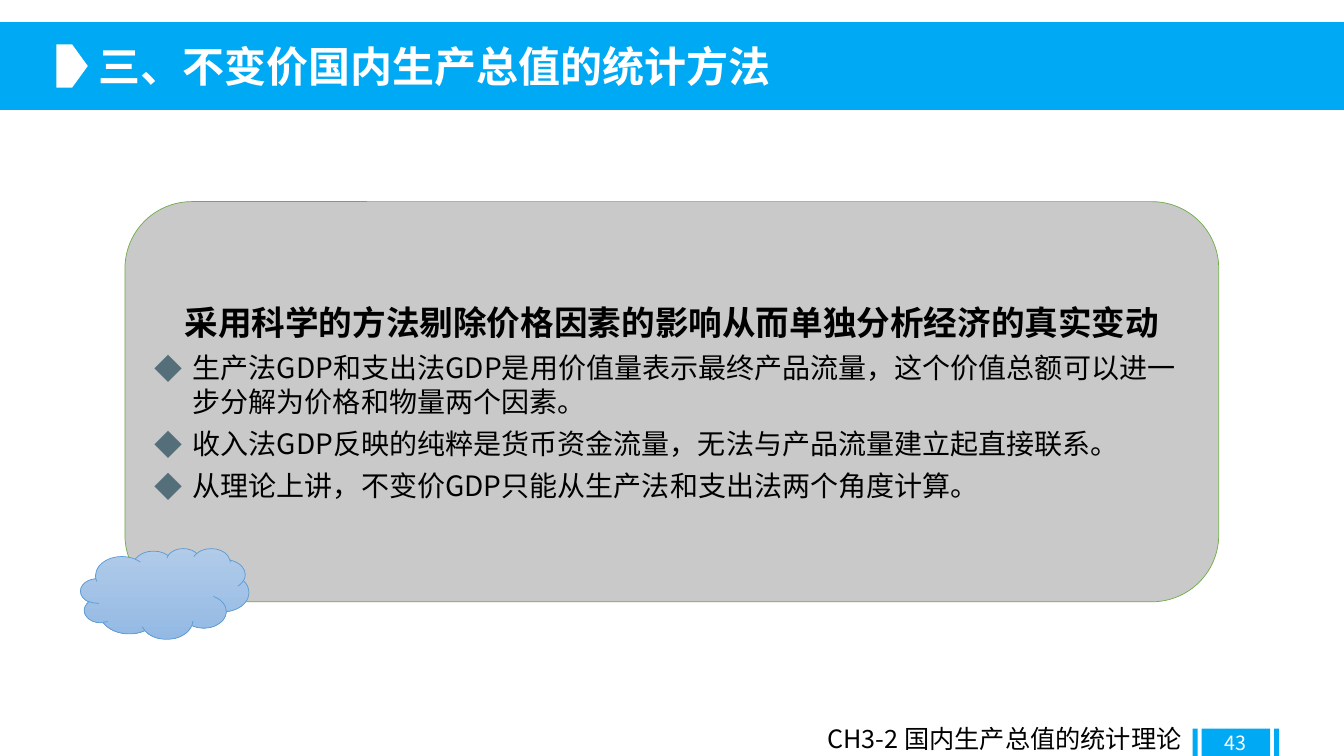
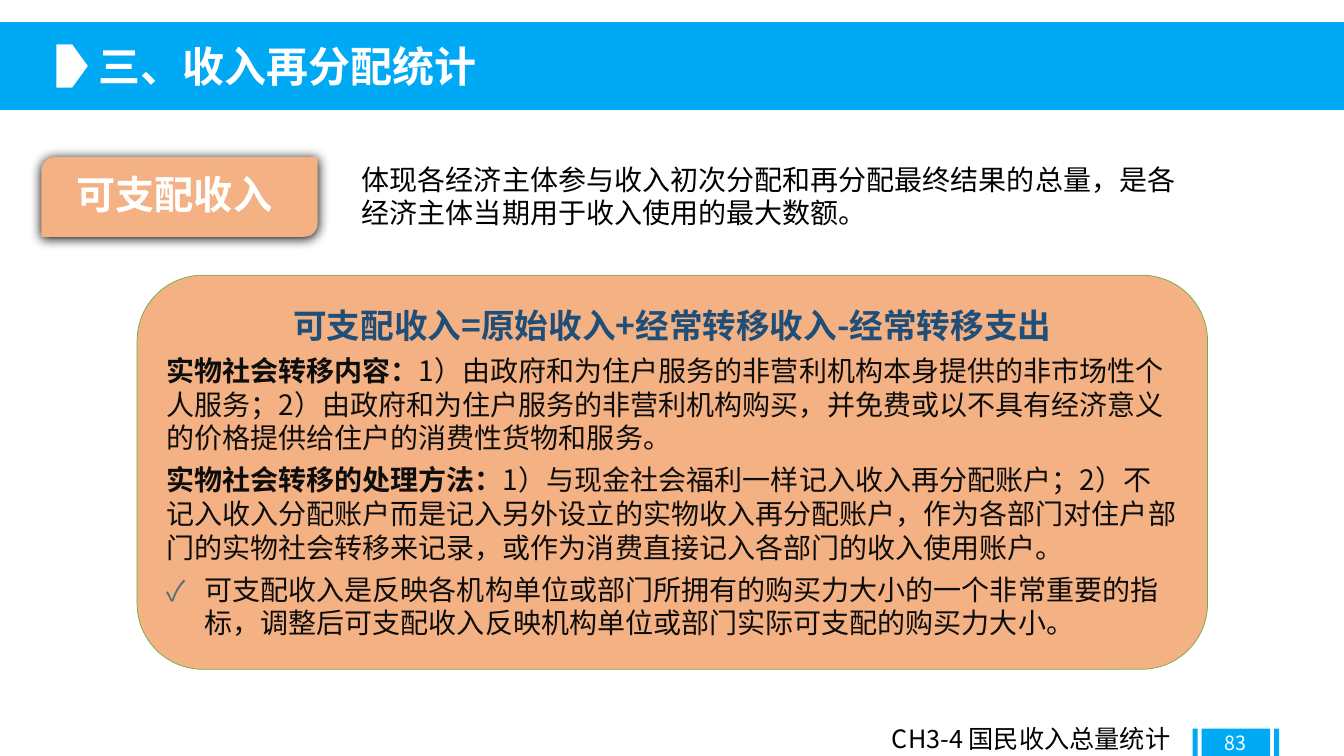
from dataclasses import dataclass
from typing import Optional

from lxml import etree
from pptx import Presentation
from pptx import util as u
from pptx.dml import color
from pptx.enum import shapes, text
from pptx.oxml import ns

WIDTH, HEIGHT = u.Inches(13.33), u.Inches(7.5)
FONT = "Noto Sans CJK SC"
BLUE, WHITE, BLACK, INK = "00A9F3", "FFFFFF", "000000", "0D0D0D"
GREY, ORANGE, NAVY, GREEN = "C9C9C9", "F4B183", "1F4E79", "70AD47"
CLOUD_TOP, CLOUD_BOTTOM, CLOUD_LINE = "B1CBE9", "93B9E4", "5B9BD5"
BULLET_COLOUR = "546E7A"
BULLET_INDENT = u.Inches(0.38)
FOOTER_RIGHT = 88.88
SHAPE = shapes.MSO_SHAPE


@dataclass(frozen=True)
class Box:
    """Position and size in percent of the slide's width and height."""
    left: float
    top: float
    width: float
    height: float

    def lengths(self) -> tuple:
        return (int(WIDTH * self.left / 100), int(HEIGHT * self.top / 100),
                int(WIDTH * self.width / 100), int(HEIGHT * self.height / 100))


@dataclass(frozen=True)
class Line:
    """One paragraph; a lead is a bold opening run."""
    body: str
    size: int = 20
    colour: str = BLACK
    bold: bool = False
    lead: str = ""
    bullet: str = ""
    centred: bool = False
    space_before: int = 0
    spacing: Optional[float] = None


BAND = Box(0, 2.93, 100, 11.6)
ARROW = Box(4.2, 5.87, 2.33, 5.73)
TITLE = Box(6.6, 4.67, 86, 8.13)
BADGE = Box(89.4, 96.4, 5.1, 3.6)
BADGE_BARS = [Box(left, BADGE.top, 0.38, BADGE.height) for left in (88.73, 94.8)]


def rgb(value: str) -> color.RGBColor:
    return color.RGBColor.from_string(value)


def add_bullet(paragraph, symbol: str) -> None:
    properties = paragraph._p.get_or_add_pPr()
    properties.set("marL", str(BULLET_INDENT))
    properties.set("indent", str(-BULLET_INDENT))
    bullet_colour = etree.SubElement(properties, ns.qn("a:buClr"))
    etree.SubElement(bullet_colour, ns.qn("a:srgbClr"), val=BULLET_COLOUR)
    etree.SubElement(properties, ns.qn("a:buFont"), typeface=FONT)
    etree.SubElement(properties, ns.qn("a:buChar"), char=symbol)


def format_run(run, line: Line, bold: bool) -> None:
    run.font.name = FONT
    run.font.size = u.Pt(line.size)
    run.font.bold = bold
    run.font.color.rgb = rgb(line.colour)
    etree.SubElement(run._r.get_or_add_rPr(), ns.qn("a:ea"), typeface=FONT)


def write(shape, lines: list[Line], middle: bool = False) -> None:
    frame = shape.text_frame
    frame.word_wrap = True
    frame.vertical_anchor = text.MSO_ANCHOR.MIDDLE if middle else text.MSO_ANCHOR.TOP
    for index, line in enumerate(lines):
        paragraph = frame.paragraphs[0] if index == 0 else frame.add_paragraph()
        paragraph.text = line.lead or line.body
        if line.lead:
            paragraph.add_run().text = line.body
        if line.bullet:
            add_bullet(paragraph, line.bullet)
        paragraph.alignment = text.PP_ALIGN.CENTER if line.centred else text.PP_ALIGN.LEFT
        if index and line.space_before:
            paragraph.space_before = u.Pt(line.space_before)
        if line.spacing:
            paragraph.line_spacing = line.spacing
        for position, run in enumerate(paragraph.runs):
            format_run(run, line, line.bold or bool(line.lead) and position == 0)


def add_shape(slide, kind, box: Box, fill: str, outline: str = ""):
    shape = slide.shapes.add_shape(kind, *box.lengths())
    shape.shadow.inherit = False
    shape.fill.solid()
    shape.fill.fore_color.rgb = rgb(fill)
    if outline:
        shape.line.color.rgb = rgb(outline)
        shape.line.width = u.Pt(0.5)
    else:
        shape.line.fill.background()
    return shape


def add_text(slide, box: Box, line: Line):
    shape = slide.shapes.add_textbox(*box.lengths())
    write(shape, [line])
    return shape


def add_panel(slide, box: Box, fill: str, lines: list[Line]) -> None:
    panel = add_shape(slide, SHAPE.ROUNDED_RECTANGLE, box, fill, GREEN)
    write(panel, lines, middle=True)


def add_frame(presentation, title: str, footer: str, footer_left: float, number: int):
    """Add a slide with its title band, footer and page badge."""
    slide = presentation.slides.add_slide(presentation.slide_layouts[6])
    add_shape(slide, SHAPE.RECTANGLE, BAND, BLUE)
    add_shape(slide, SHAPE.PENTAGON, ARROW, WHITE)
    add_text(slide, TITLE, Line(title, 30, WHITE, bold=True))

    for bar in BADGE_BARS:
        add_shape(slide, SHAPE.RECTANGLE, bar, BLUE)
    badge = add_shape(slide, SHAPE.RECTANGLE, BADGE, BLUE)
    badge.text_frame.margin_top = badge.text_frame.margin_bottom = 0
    write(badge, [Line(str(number), 14, WHITE, centred=True)], middle=True)

    footer_box = Box(footer_left, 95.07, FOOTER_RIGHT - footer_left, 4.9)
    add_text(slide, footer_box, Line(footer, 18)).text_frame.margin_right = 0
    return slide


def add_cloud(slide, box: Box) -> None:
    cloud = add_shape(slide, SHAPE.CLOUD, box, CLOUD_TOP, CLOUD_LINE)
    cloud.fill.gradient()
    cloud.fill.gradient_angle = 270
    for stop, colour in zip(cloud.fill.gradient_stops, (CLOUD_TOP, CLOUD_BOTTOM)):
        stop.color.rgb = rgb(colour)


def add_tag(slide, box: Box, label: str) -> None:
    tag = add_shape(slide, SHAPE.ROUND_2_DIAG_RECTANGLE, box, ORANGE)
    effects = tag._element.spPr.find(ns.qn("a:effectLst"))
    shadow = etree.SubElement(effects, ns.qn("a:outerShdw"), blurRad=str(u.Pt(8.5)),
                              dist=str(u.Pt(1)), dir="5400000", rotWithShape="0")
    etree.SubElement(shadow, ns.qn("a:srgbClr"), val=BLACK)
    frame = tag.text_frame
    frame.margin_left = frame.margin_right = u.Inches(0.31)
    frame.margin_top = frame.margin_bottom = u.Inches(0.12)
    write(tag, [Line(label, 28, WHITE, bold=True, spacing=0.9)], middle=True)


def build_constant_price_slide(presentation) -> None:
    slide = add_frame(presentation, "三、不变价国内生产总值的统计方法",
                      "CH3-2 国内生产总值的统计理论", 60.83, 43)
    points = (
        "生产法GDP和支出法GDP是用价值量表示最终产品流量，这个价值总额可以进一步分解为价格和物量两个因素。",
        "收入法GDP反映的纯粹是货币资金流量，无法与产品流量建立起直接联系。",
        "从理论上讲，不变价GDP只能从生产法和支出法两个角度计算。",
    )
    heading = Line("采用科学的方法剔除价格因素的影响从而单独分析经济的真实变动",
                   24, bold=True, centred=True)
    add_panel(slide, Box(9.3, 26.67, 81.38, 52.93), GREY,
              [heading] + [Line(point, bullet="◆", space_before=6) for point in points])
    add_cloud(slide, Box(6, 72.53, 12.53, 12))


def build_redistribution_slide(presentation) -> None:
    slide = add_frame(presentation, "三、收入再分配统计",
                      "CH3-4 国民收入总量统计", 65.63, 83)
    # Term and definition
    add_tag(slide, Box(3.08, 20.8, 20.55, 10.53), "可支配收入")
    add_text(slide, Box(26.18, 20.8, 62.48, 10.27),
             Line("体现各经济主体参与收入初次分配和再分配最终结果的总量，是各经济主体当期用于收入使用的最大数额。"))
    # Formula and explanation
    add_panel(slide, Box(10.2, 36.4, 79.65, 52.13), ORANGE, [
        Line("可支配收入=原始收入+经常转移收入-经常转移支出", 24, NAVY, bold=True, centred=True),
        Line("1）由政府和为住户服务的非营利机构本身提供的非市场性个人服务；"
             "2）由政府和为住户服务的非营利机构购买，并免费或以不具有经济意义的价格提供给住户的消费性货物和服务。",
             colour=INK, lead="实物社会转移内容：", space_before=6),
        Line("1）与现金社会福利一样记入收入再分配账户；"
             "2）不记入收入分配账户而是记入另外设立的实物收入再分配账户，"
             "作为各部门对住户部门的实物社会转移来记录，或作为消费直接记入各部门的收入使用账户。",
             colour=INK, lead="实物社会转移的处理方法：", space_before=6),
        Line("可支配收入是反映各机构单位或部门所拥有的购买力大小的一个非常重要的指标，"
             "调整后可支配收入反映机构单位或部门实际可支配的购买力大小。",
             colour=INK, bullet="✓", space_before=6),
    ])


def main() -> None:
    presentation = Presentation()
    presentation.slide_width, presentation.slide_height = WIDTH, HEIGHT
    build_constant_price_slide(presentation)
    build_redistribution_slide(presentation)
    presentation.save("out.pptx")


if __name__ == "__main__":
    main()
